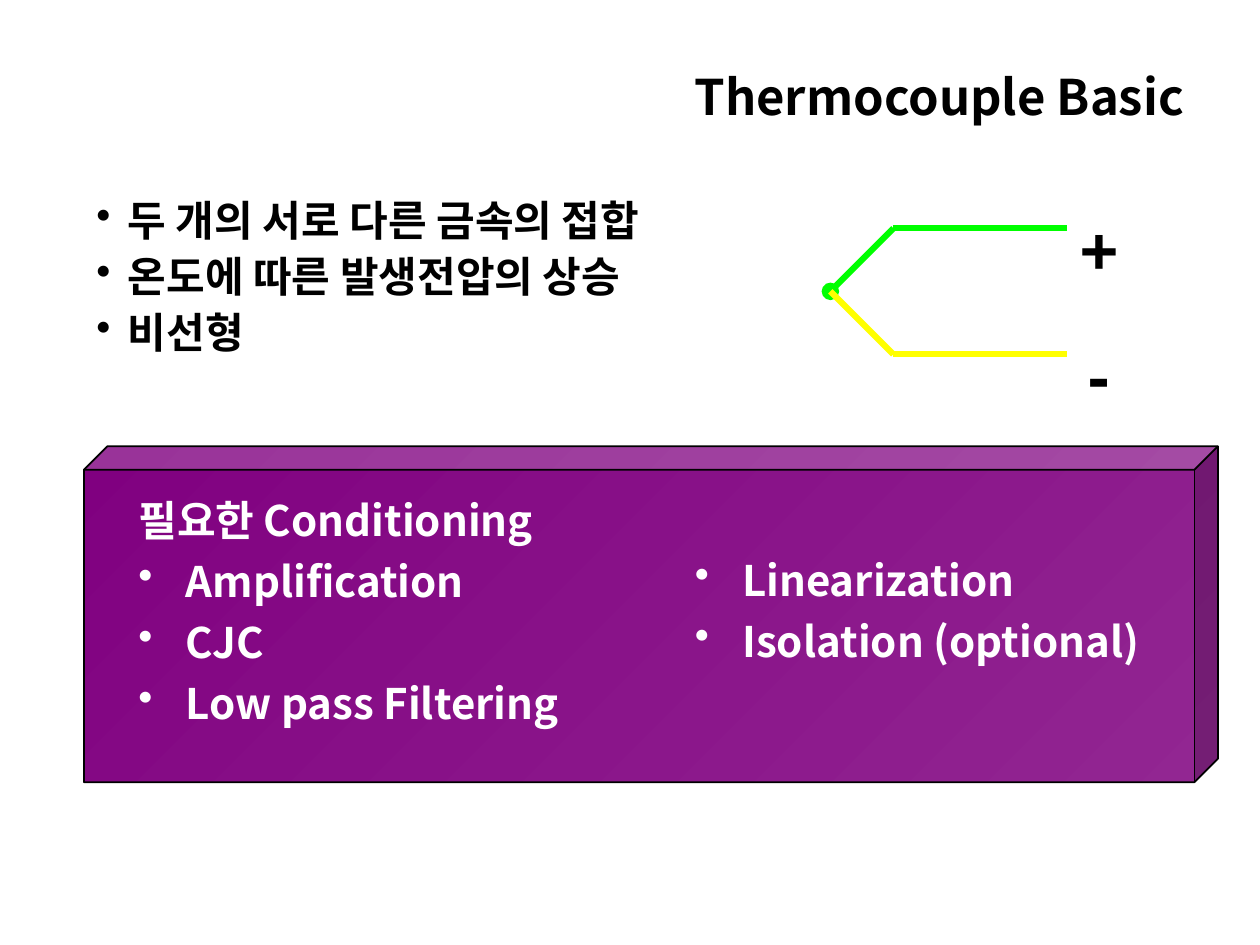
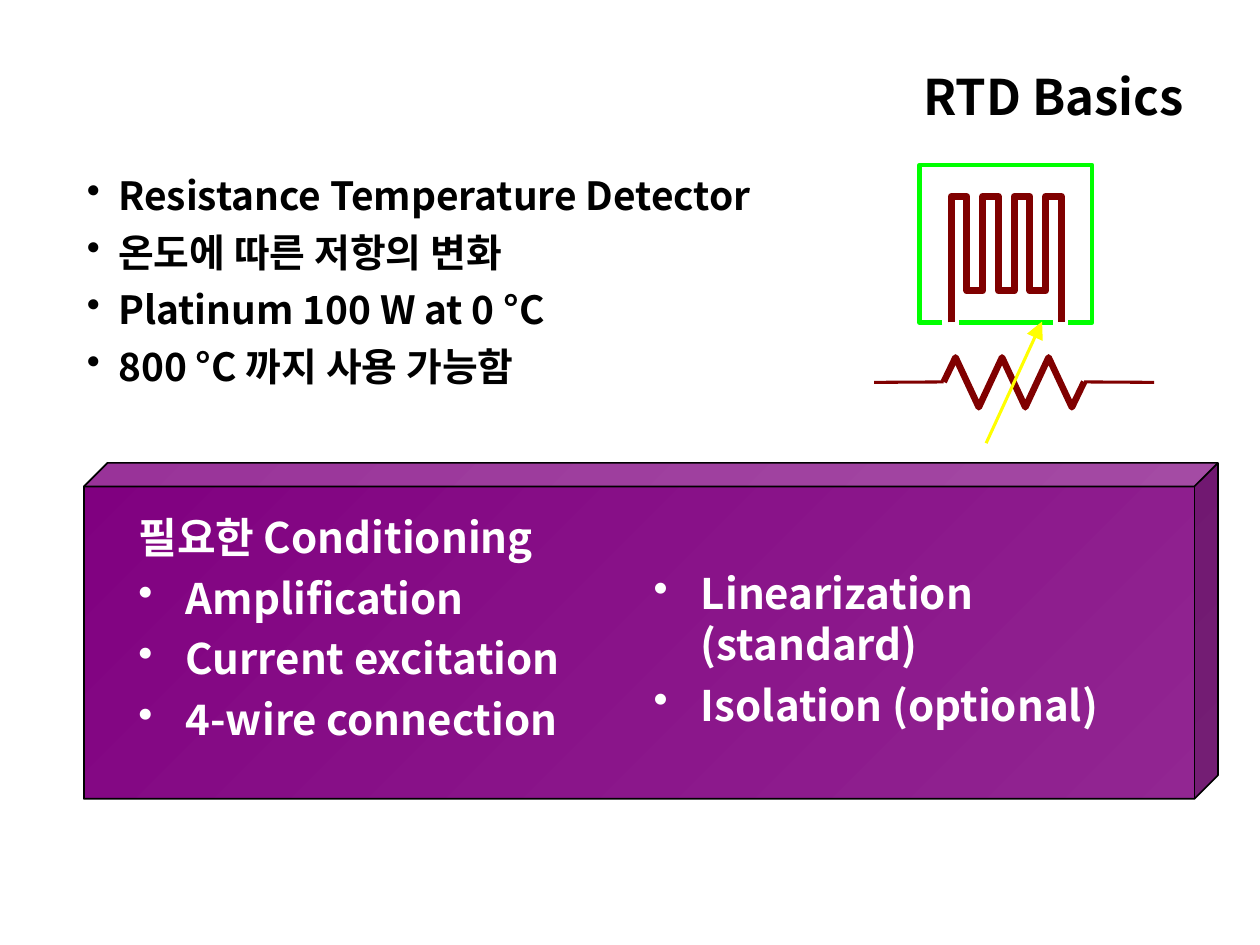
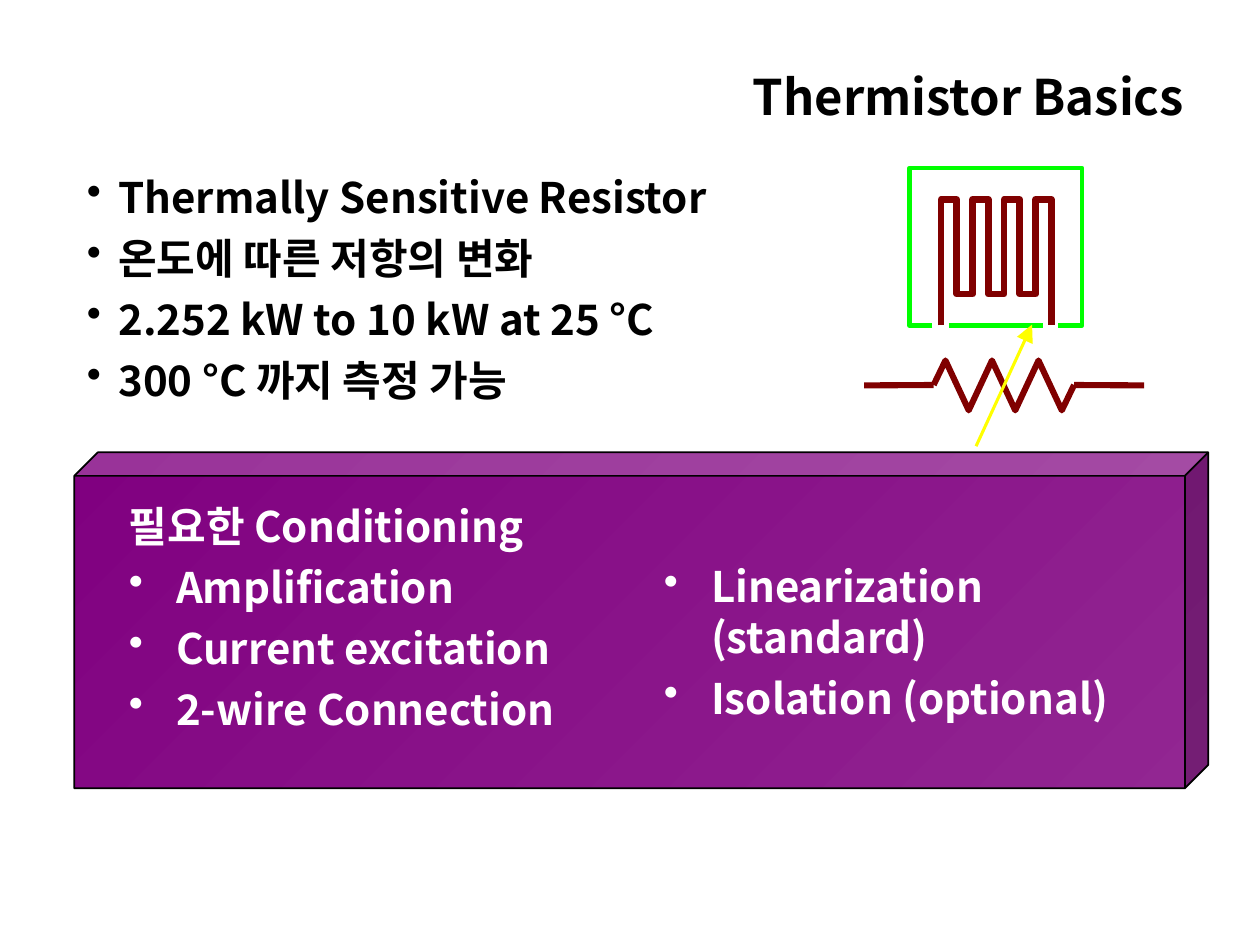
from lxml.etree import SubElement
from pptx import Presentation
from pptx.dml.color import RGBColor
from pptx.enum.shapes import MSO_CONNECTOR as CONNECTOR, MSO_SHAPE as SHAPE
from pptx.enum.text import PP_ALIGN as ALIGN
from pptx.oxml import parse_xml
from pptx.oxml.ns import nsdecls, qn
from pptx.util import Pt

# Shared style
BLACK = RGBColor(0x00, 0x00, 0x00)
WHITE = RGBColor(0xFF, 0xFF, 0xFF)
GREEN = RGBColor(0x00, 0xFF, 0x00)
YELLOW = RGBColor(0xFF, 0xFF, 0x00)
MAROON = RGBColor(0x80, 0x00, 0x00)
PURPLE = RGBColor(0x80, 0x00, 0x80)
LIGHT_PURPLE = RGBColor(0x92, 0x26, 0x92)
KOREAN_FONT = "Noto Sans CJK KR"
SYMBOL_FONT = "Arial"
TITLE_RIGHT = 683.5
PANEL_HEADING = "필요한 Conditioning"
TEXT_SHADOW = (
    f'<a:effectLst {nsdecls("a")}><a:outerShdw dist="17961" dir="2700000">'
    '<a:srgbClr val="000000"/></a:outerShdw></a:effectLst>'
)


# Text
def format_run(run, size, color, font_name=KOREAN_FONT, shadow=False):
    font = run.font
    font.size, font.bold, font.name = Pt(size), True, font_name
    font.color.rgb = color
    properties = run._r.get_or_add_rPr()
    latin = properties.find(qn("a:latin"))
    latin.addnext(parse_xml(f'<a:ea {nsdecls("a")} typeface="{font_name}"/>'))
    if shadow:
        latin.addprevious(parse_xml(TEXT_SHADOW))


def add_text(slide, box, lines, size, color, font_name=KOREAN_FONT, shadow=False):
    shape = slide.shapes.add_textbox(*map(Pt, box))
    shape.text_frame.word_wrap = True
    shape.text_frame.text = "\n".join(lines)
    for paragraph in shape.text_frame.paragraphs:
        format_run(paragraph.runs[0], size, color, font_name, shadow)
    return shape


def add_title(slide, text, left):
    box = (left, 34.5, TITLE_RIGHT - left, 45.5)
    shape = add_text(slide, box, [text], 28, BLACK)
    shape.fill.solid()
    shape.fill.fore_color.rgb = WHITE
    shape.text_frame.paragraphs[0].alignment = ALIGN.RIGHT


def add_bullets(slide, box, lines, size=24, color=BLACK, indent=18,
                line_spacing=1.0, heading=False, shadow=False):
    shape = add_text(slide, box, lines, size, color, shadow=shadow)
    for index, paragraph in enumerate(shape.text_frame.paragraphs):
        properties = paragraph._p.get_or_add_pPr()
        properties.set("marL", str(Pt(indent)))
        properties.set("indent", str(Pt(-indent)))
        if index or not heading:
            SubElement(properties, qn("a:buChar"), char="•")
        paragraph.line_spacing = line_spacing
        if index:
            paragraph.space_before = Pt(6)


def add_sign(slide, sign, left, top, width):
    shape = add_text(slide, (left, top, width, 54.5), [sign], 38, BLACK, SYMBOL_FONT)
    frame = shape.text_frame
    frame.word_wrap = False
    frame.margin_left = frame.margin_right = frame.margin_top = frame.margin_bottom = 0
    frame.paragraphs[0].line_spacing = 1.2


# Lines and shapes
def add_line(slide, start, end, color, width, arrow=False):
    line = slide.shapes.add_connector(CONNECTOR.STRAIGHT, *map(Pt, (*start, *end)))
    line.line.color.rgb = color
    line.line.width = Pt(width)
    if arrow:
        SubElement(line.line._get_or_add_ln(), qn("a:tailEnd"),
                   type="triangle", w="lg", len="lg")
    SubElement(line._element.spPr, qn("a:effectLst"))


def add_polyline(slide, points, color, width):
    start, *rest = [(Pt(x), Pt(y)) for x, y in points]
    builder = slide.shapes.build_freeform(*start)
    builder.add_line_segments(rest, close=False)
    shape = builder.convert_to_shape()
    shape.shadow.inherit = False
    shape.fill.background()
    shape.line.color.rgb = color
    shape.line.width = Pt(width)


def add_panel(slide, left, top):
    panel = slide.shapes.add_shape(SHAPE.CUBE, Pt(left), Pt(top), Pt(648), Pt(192))
    panel.shadow.inherit = False
    panel.adjustments[0] = 0.07
    panel.fill.gradient()
    panel.fill.gradient_angle = 135
    for stop, color in zip(panel.fill.gradient_stops, (LIGHT_PURPLE, PURPLE)):
        stop.color.rgb = color
    panel.line.color.rgb = BLACK
    panel.line.width = Pt(1)


def add_conditioning(slide, left, top, needs, more_needs, more_box):
    add_panel(slide, left, top)
    style = dict(color=WHITE, indent=27, shadow=True)
    add_bullets(slide, (left + 24, top + 24, 300, 146), [PANEL_HEADING, *needs],
                heading=True, **style)
    add_bullets(slide, more_box, more_needs, **style)


# Sensor drawings
def draw_thermocouple(slide):
    joint_x, joint_y, bend_x, end_x = 474.5, 166.5, 510.5, 610
    radius = 5
    for color, rise in ((GREEN, -36), (YELLOW, 36)):
        bend = (bend_x, joint_y + rise)
        add_line(slide, (joint_x, joint_y), bend, color, 3.5)
        if color == GREEN:
            joint = slide.shapes.add_shape(
                SHAPE.OVAL, Pt(joint_x - radius), Pt(joint_y - radius),
                Pt(2 * radius), Pt(2 * radius))
            joint.shadow.inherit = False
            joint.fill.solid()
            joint.fill.fore_color.rgb = GREEN
            joint.line.fill.background()
        add_line(slide, bend, (end_x, joint_y + rise), color, 3.5)
    add_sign(slide, "+", 617, 109.5, 22.5)
    add_sign(slide, "-", 621.5, 181.5, 13)


def draw_resistance_sensor(slide, left, top, zigzag_width, lead_width):
    def at(x, y):
        return left + x, top + y

    # Coil inside its open case
    coil = [at(18, 90)]
    for leg in range(8):
        x = 18 + 9 * leg
        coil += [at(x, y) for y in ((72, 18) if leg % 2 == 0 else (18, 72))]
    del coil[1]
    coil[-1] = at(81, 90)
    add_polyline(slide, coil, MAROON, 3.88)
    case = [at(13, 90), at(0, 90), at(0, 0), at(98.5, 0), at(98.5, 90), at(85, 90)]
    add_polyline(slide, case, GREEN, 2.64)
    add_line(slide, at(22.5, 90), at(76.5, 90), GREEN, 2.64)

    # Variable resistor symbol
    start, end = at(13.75, 124), at(94, 124)
    peaks = [at(20.5 + 13.3 * i, 138.5 if i % 2 else 110) for i in range(6)]
    add_polyline(slide, [start, *peaks, end], MAROON, zigzag_width)
    add_line(slide, start, at(-26, 124.25), MAROON, lead_width)
    add_line(slide, end, at(134, 124.25), MAROON, lead_width)
    add_line(slide, at(38, 159), at(70, 89.5), YELLOW, 1.75, arrow=True)


# Slides
def build_thermocouple(slide):
    add_title(slide, "Thermocouple Basic", 309)
    add_bullets(slide, (48, 111, 453.5, 113),
                ["두 개의 서로 다른 금속의 접합", "온도에 따른 발생전압의 상승", "비선형"],
                line_spacing=0.9)
    add_conditioning(slide, 48, 255, ["Amplification", "CJC", "Low pass Filtering"],
                     ["Linearization", "Isolation (optional)"],
                     (390, 313.5, 300, 139))
    draw_thermocouple(slide)


def build_rtd(slide):
    add_title(slide, "RTD Basics", 263.5)
    add_bullets(slide, (42.5, 94.5, 430.5, 147.5),
                ["Resistance Temperature Detector", "온도에 따른 저항의 변화",
                 "Platinum 100 W at 0 °C", "800 °C 까지 사용 가능함"], size=22.2)
    add_conditioning(slide, 48, 264.5,
                     ["Amplification", "Current excitation", "4-wire connection"],
                     ["Linearization (standard)", "Isolation (optional)"],
                     (366.5, 321, 299.5, 122.5))
    draw_resistance_sensor(slide, 525.5, 94.25, zigzag_width=3.75, lead_width=1.75)


def build_thermistor(slide):
    add_title(slide, "Thermistor Basics", 263.5)
    add_bullets(slide, (42.5, 94.5, 402.5, 147.5),
                ["Thermally Sensitive Resistor", "온도에 따른 저항의 변화",
                 "2.252 kW to 10 kW at 25 °C", "300 °C 까지 측정 가능"])
    add_conditioning(slide, 42.5, 258.5,
                     ["Amplification", "Current excitation", "2-wire Connection"],
                     ["Linearization (standard)", "Isolation (optional)"],
                     (372.25, 317, 294, 112.5))
    draw_resistance_sensor(slide, 519.75, 96, zigzag_width=3.5, lead_width=3.5)


def main():
    presentation = Presentation()
    presentation.slide_width, presentation.slide_height = Pt(720), Pt(540)
    blank_layout = presentation.slide_layouts[6]
    for build in (build_thermocouple, build_rtd, build_thermistor):
        build(presentation.slides.add_slide(blank_layout))
    presentation.save("out.pptx")


if __name__ == "__main__":
    main()
